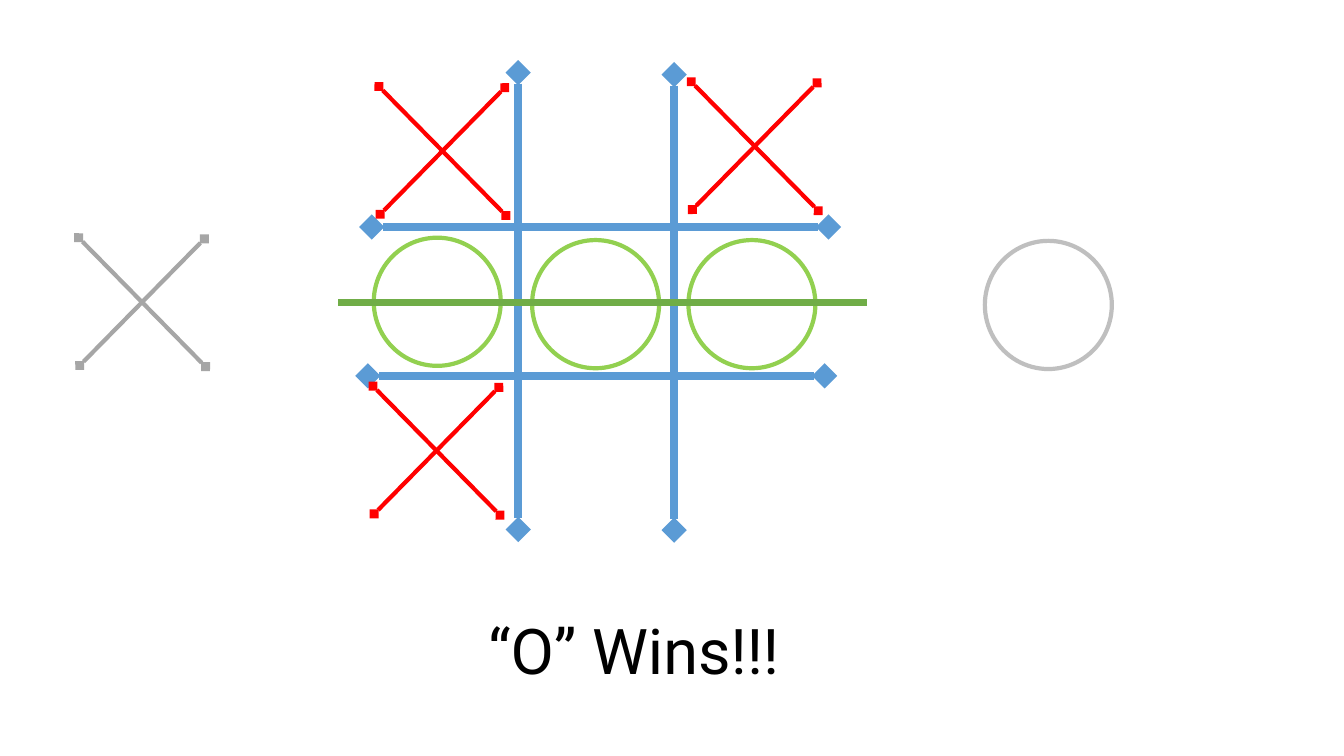
import pptx
import pptx.util
import pptx.dml.color
import pptx.enum.shapes
import pptx.enum.text
import pptx.oxml.ns
from lxml import etree

Cm, Pt = pptx.util.Cm, pptx.util.Pt

TITLE = "“O” Wins!!!"
TITLE_BOX = (9.32, 15.29, 13.31, 2.18)
GRID_LINES = [
    (13.06, 1.83, 13.06, 13.34),
    (20.78, 9.47, 9.27, 9.47),
    (20.88, 5.72, 9.37, 5.72),
    (16.99, 1.88, 16.99, 13.36),
]
CROSSES = [
    (1.98, 5.99, "A6A6A6"),
    (9.4, 9.73, "FF0000"),
    (17.42, 2.06, "FF0000"),
    (9.55, 2.18, "FF0000"),
]
CROSS_W, CROSS_H, INSET = 3.2, 3.25, 0.03
CIRCLES = [
    (24.82, 6.07, "BFBFBF"),
    (13.41, 6.05, "92D050"),
    (9.42, 5.99, "92D050"),
    (17.35, 6.05, "92D050"),
]
CIRCLE_W, CIRCLE_H = 3.2, 3.23
WIN_LINE = (21.84, 7.62, 8.51, 7.62)


def rgb(value):
    return pptx.dml.color.RGBColor.from_string(value)


def add_line(shapes, ends, color, width, diamonds=True):
    line = shapes.add_connector(
        pptx.enum.shapes.MSO_CONNECTOR.STRAIGHT, *[Cm(v) for v in ends])
    line.line.color.rgb = rgb(color)
    line.line.width = Pt(width)
    qn = pptx.oxml.ns.qn
    if diamonds:
        ln = line.line._get_or_add_ln()
        for tag in ("a:headEnd", "a:tailEnd"):
            etree.SubElement(ln, qn(tag), type="diamond")
    etree.SubElement(line._element.spPr, qn("a:effectLst"))


def add_cross(s, x, y, color):
    group = s.shapes.add_group_shape()
    right, bottom = x + CROSS_W, y + CROSS_H
    add_line(group.shapes, (x, y, right, bottom), color, 3)
    add_line(group.shapes, (right - INSET, y + INSET, x + INSET, bottom - INSET), color, 3)


def add_circle(s, x, y, color):
    sp = s.shapes.add_shape(
        pptx.enum.shapes.MSO_SHAPE.OVAL, Cm(x), Cm(y), Cm(CIRCLE_W), Cm(CIRCLE_H))
    sp.shadow.inherit = False
    sp.fill.background()
    sp.line.color.rgb = rgb(color)
    sp.line.width = Pt(3)


def add_title(s):
    sp = s.shapes.title
    sp.left, sp.top, sp.width, sp.height = [Cm(v) for v in TITLE_BOX]
    tf = sp.text_frame
    tf.word_wrap = True
    tf.auto_size = pptx.enum.text.MSO_AUTO_SIZE.NONE
    tf.vertical_anchor = pptx.enum.text.MSO_ANCHOR.TOP
    p = tf.paragraphs[0]
    p.alignment = pptx.enum.text.PP_ALIGN.CENTER
    r = p.add_run()
    r.text = TITLE
    r.font.name = "Roboto"
    r.font.size = Pt(45)
    r.font.color.rgb = rgb("000000")


def main():
    prs = pptx.Presentation()
    prs.slide_width, prs.slide_height = Cm(33.87), Cm(19.05)
    s = prs.slides.add_slide(prs.slide_layouts[5])
    add_title(s)
    for ends in GRID_LINES:
        add_line(s.shapes, ends, "5B9BD5", 6)
    for cross in CROSSES:
        add_cross(s, *cross)
    for circle in CIRCLES:
        add_circle(s, *circle)
    add_line(s.shapes, WIN_LINE, "70AD47", 4.5, diamonds=False)
    prs.save("out.pptx")


if __name__ == "__main__":
    main()
